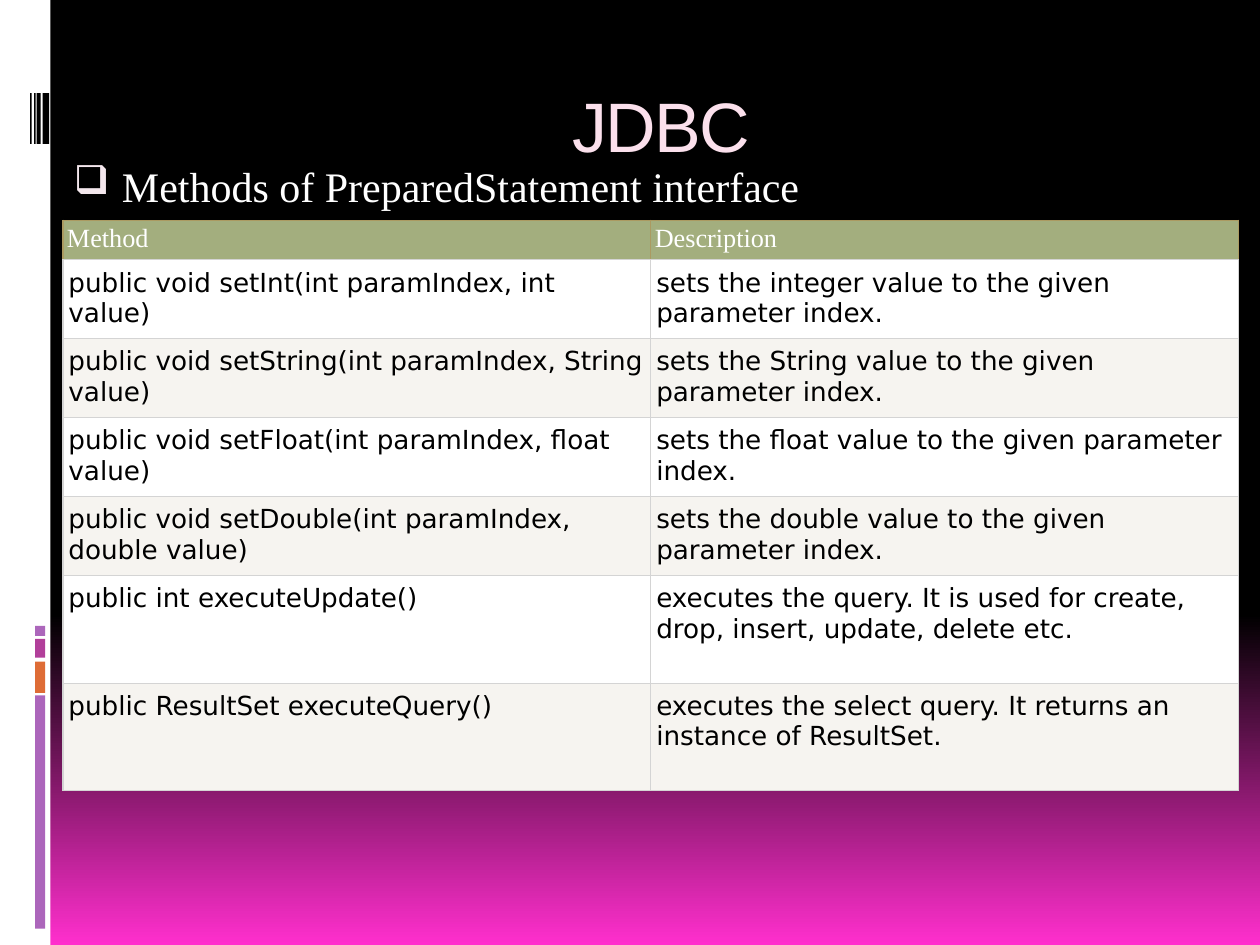
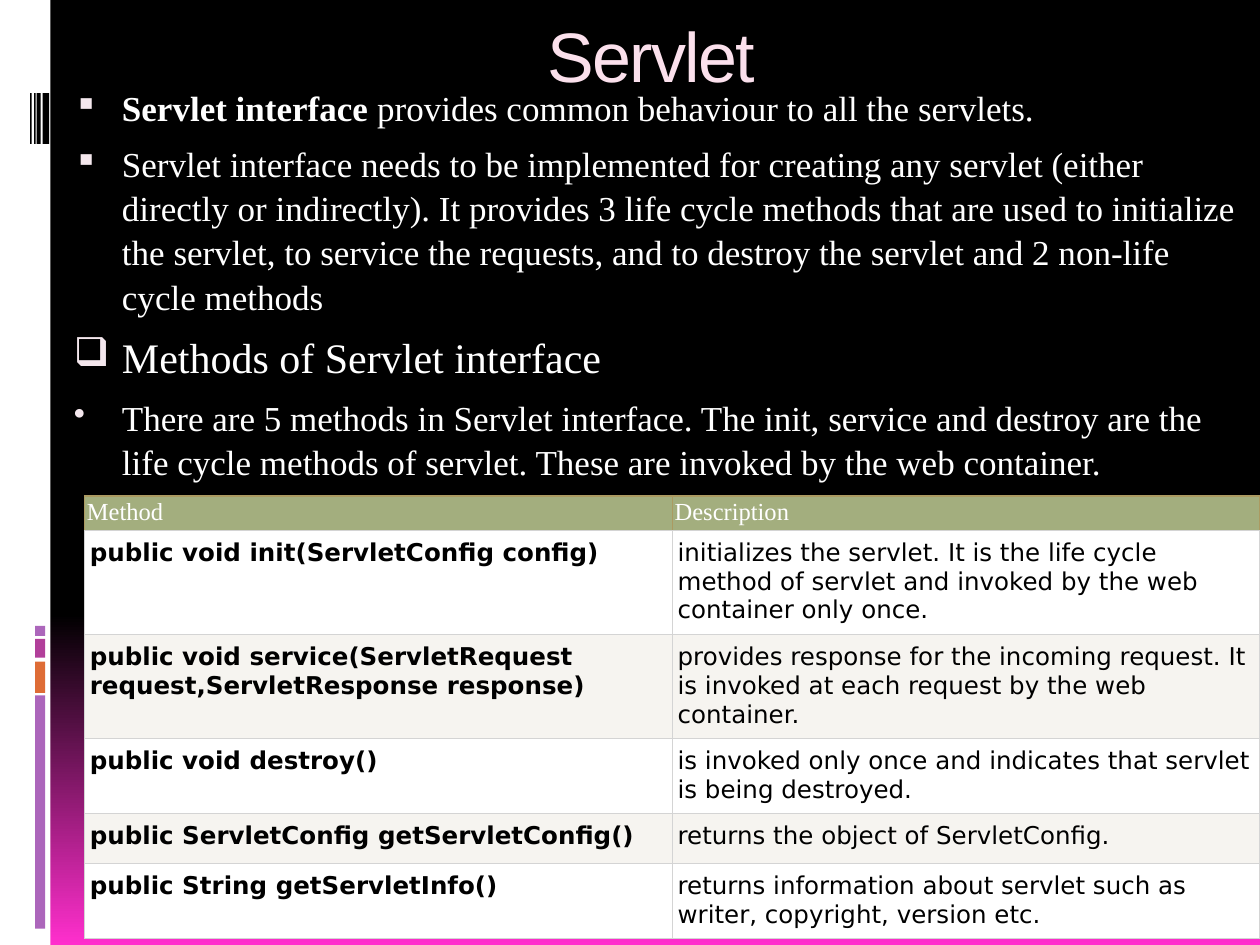
import pptx
import pptx.dml.color
import pptx.enum.shapes
import pptx.enum.text
import pptx.oxml
import pptx.oxml.ns
import pptx.util
from pptx.util import Cm

COLORS = {
    "white": "FFFFFF", "black": "000000", "pink": "FF2FCD",
    "purple": "AC66BB", "orange": "DE6C36", "magenta": "B13F9A",
    "title": "FBE0EC", "bullet": "F4E7ED", "header": "A3AE7E",
    "stripe": "F6F4F0", "grid": "D4D4D4", "header_line": "AB9A61",
}
SERIF, SANS, MONO_LIKE = "Times New Roman", "Arial", "DejaVu Sans"
SLIDE_W, SLIDE_H = Cm(25.4), Cm(19.05)

PREPARED_METHODS = [
    ("public void setInt(int paramIndex, int value)",
     "sets the integer value to the given parameter index."),
    ("public void setString(int paramIndex, String value)",
     "sets the String value to the given parameter index."),
    ("public void setFloat(int paramIndex, float value)",
     "sets the float value to the given parameter index."),
    ("public void setDouble(int paramIndex, double value)",
     "sets the double value to the given parameter index."),
    ("public int executeUpdate()",
     "executes the query. It is used for create, drop, insert, update, delete etc."),
    ("public ResultSet executeQuery()",
     "executes the select query. It returns an instance of ResultSet."),
]
SERVLET_METHODS = [
    ("public void init(ServletConfig config)",
     "initializes the servlet. It is the life cycle method of servlet and "
     "invoked by the web container only once."),
    ("public void service(ServletRequest request,ServletResponse response)",
     "provides response for the incoming request. It is invoked at each "
     "request by the web container."),
    ("public void destroy()",
     "is invoked only once and indicates that servlet is being destroyed."),
    ("public ServletConfig getServletConfig()",
     "returns the object of ServletConfig."),
    ("public String getServletInfo()",
     "returns information about servlet such as writer, copyright, version etc."),
]
# Each point: bullet, size, runs of (text, bold)
PREPARED_POINTS = [("❑", 24, [("Methods of PreparedStatement interface", False)])]
SERVLET_POINTS = [
    ("▪", 20, [("Servlet interface", True),
               (" provides common behaviour to all the servlets.", False)]),
    ("▪", 20, [("Servlet interface needs to be implemented for creating any servlet "
                "(either directly or indirectly). It provides 3 life cycle methods "
                "that are used to initialize the servlet, to service the requests, "
                "and to destroy the servlet and 2 non-life cycle methods", False)]),
    ("❑", 24, [("Methods of Servlet interface", False)]),
    ("•", 20, [("There are 5 methods in Servlet interface. The init, service and "
                "destroy are the life cycle methods of servlet. These are invoked "
                "by the web container.", False)]),
]


def rgb(name):
    return pptx.dml.color.RGBColor.from_string(COLORS[name])


def xml(text):
    return pptx.oxml.parse_xml(
        text.replace(">", f" {pptx.oxml.ns.nsdecls('a')}>", 1))


def style_font(font, name, size, color, bold=False):
    font.name, font.size, font.bold = name, pptx.util.Pt(size), bold
    font.color.rgb = rgb(color)


def set_margins(frame, x, y):
    frame.margin_left = frame.margin_right = x
    frame.margin_top = frame.margin_bottom = y


def set_background(master):
    fill = master.background.fill
    fill.gradient()
    fill.gradient_angle = 270
    for stop, (position, color) in zip(fill.gradient_stops,
                                       [(0.65, "black"), (1, "pink")]):
        stop.position = position
        stop.color.rgb = rgb(color)


def add_bar(slide, left, top, width, height, color):
    sp = slide.shapes.add_shape(
        pptx.enum.shapes.MSO_SHAPE.RECTANGLE, left, top, width, height)
    sp.shadow.inherit = False
    sp.fill.solid()
    sp.fill.fore_color.rgb = rgb(color)
    sp.line.fill.background()


def add_side_band(slide):
    add_bar(slide, 0, 0, Cm(1.02), SLIDE_H, "white")
    for top, height, color in [(14.02, 4.7, "purple"), (13.34, 0.63, "orange"),
                               (12.88, 0.38, "magenta"), (12.62, 0.2, "purple")]:
        add_bar(slide, Cm(0.71), Cm(top), Cm(0.2), Cm(height), color)
    for left, width in [(0.86, 0.13), (0.74, 0.08), (0.69, 0.03), (0.61, 0.03)]:
        add_bar(slide, Cm(left), Cm(1.88), Cm(width), Cm(1.02), "black")


def set_title(slide, text, left, top):
    sp = slide.shapes.title
    sp.left, sp.top, sp.width, sp.height = left, top, Cm(21.59), Cm(2.54)
    tf = sp.text_frame
    tf.vertical_anchor = pptx.enum.text.MSO_ANCHOR.TOP
    set_margins(tf, Cm(0.25), Cm(0.25))
    p = tf.paragraphs[0]
    p.alignment = pptx.enum.text.PP_ALIGN.CENTER
    style_font(p.font, SANS, 40, "title")
    r = p.add_run()
    r.text = text
    r._r.get_or_add_rPr().set("spc", "-100")


def set_bullet(p, char):
    pPr = p._p.get_or_add_pPr()
    pPr.set("marL", str(Cm(1.14)))
    pPr.set("indent", str(-Cm(0.97)))
    bullet = [f'<a:buClr><a:srgbClr val="{COLORS["bullet"]}"/></a:buClr>',
              '<a:buSzPct val="95000"></a:buSzPct>',
              f'<a:buChar char="{char}"></a:buChar>']
    for i, part in enumerate(bullet, start=2):  # after line and paragraph spacing
        pPr.insert(i, xml(part))


def add_points(slide, points, top):
    left = Cm(1.07)
    tf = slide.shapes.add_textbox(left, top, SLIDE_W - left, SLIDE_H - top).text_frame
    tf.word_wrap = True
    set_margins(tf, Cm(0.25), 0)
    for i, (char, size, runs) in enumerate(points):
        p = tf.add_paragraph() if i else tf.paragraphs[0]
        p.line_spacing = 1.05
        p.space_before = pptx.util.Pt(7)
        set_bullet(p, char)
        style_font(p.font, SERIF, size, "white")
        for text, bold in runs:
            r = p.add_run()
            r.text = text
            r.font.bold = bold


def set_borders(cell, color, bottom):
    tcPr = cell._tc.get_or_add_tcPr()
    for i, side in enumerate("LRTB"):
        val = COLORS[bottom if side == "B" else color]
        tcPr.insert(i, xml(f'<a:ln{side} w="9525"><a:solidFill><a:srgbClr val="{val}"/>'
                           f'</a:solidFill></a:ln{side}>'))


def fill_cell(cell, text, fill, line, font, margins):
    cell.text = text
    cell.fill.solid()
    cell.fill.fore_color.rgb = rgb(fill)
    set_borders(cell, line, "grid")
    set_margins(cell, *margins)
    style_font(cell.text_frame.paragraphs[0].font, *font)


def add_method_table(slide, methods, left, top, heights, size, header_margin,
                     bold_methods=False):
    """Heights are in centimetres, header row first."""
    width = Cm(23.7)
    table = slide.shapes.add_table(len(heights), 2, left, top, width,
                                   Cm(sum(heights))).table
    for row, height in zip(table.rows, heights):
        row.height = Cm(height)
    for c, text in enumerate(("Method", "Description")):
        fill_cell(table.cell(0, c), text, "header", "header_line",
                  (SERIF, size, "white"), (header_margin, header_margin))
    for r, texts in enumerate(methods, start=1):
        for c, text in enumerate(texts):
            fill_cell(table.cell(r, c), text, "white" if r % 2 else "stripe", "grid",
                      (MONO_LIKE, size, "black", bold_methods and c == 0),
                      (Cm(0.11), Cm(0.16)))


def add_base_slide(prs, title, left, top):
    slide = prs.slides.add_slide(prs.slide_layouts[5])
    add_side_band(slide)
    set_title(slide, title, left, top)
    return slide


def add_jdbc_slide(prs):
    slide = add_base_slide(prs, "JDBC", Cm(2.54), Cm(1.42))
    add_points(slide, PREPARED_POINTS, Cm(3.18))
    add_method_table(slide, PREPARED_METHODS, Cm(1.27), Cm(4.44),
                     [0.75] + [1.55] * 4 + [2.17] * 2, 15, Cm(0.08))


def add_servlet_slide(prs):
    slide = add_base_slide(prs, "Servlet", Cm(2.34), 0)
    add_points(slide, SERVLET_POINTS, Cm(1.7))
    add_method_table(slide, SERVLET_METHODS, Cm(1.7), Cm(10),
                     [0.66, 2.02, 2.02, 1.43, 1.01, 1.45], 14, Cm(0.05),
                     bold_methods=True)


def main():
    prs = pptx.Presentation()
    prs.slide_width, prs.slide_height = SLIDE_W, SLIDE_H
    set_background(prs.slide_master)
    add_jdbc_slide(prs)
    add_servlet_slide(prs)
    prs.save("out.pptx")


if __name__ == "__main__":
    main()
